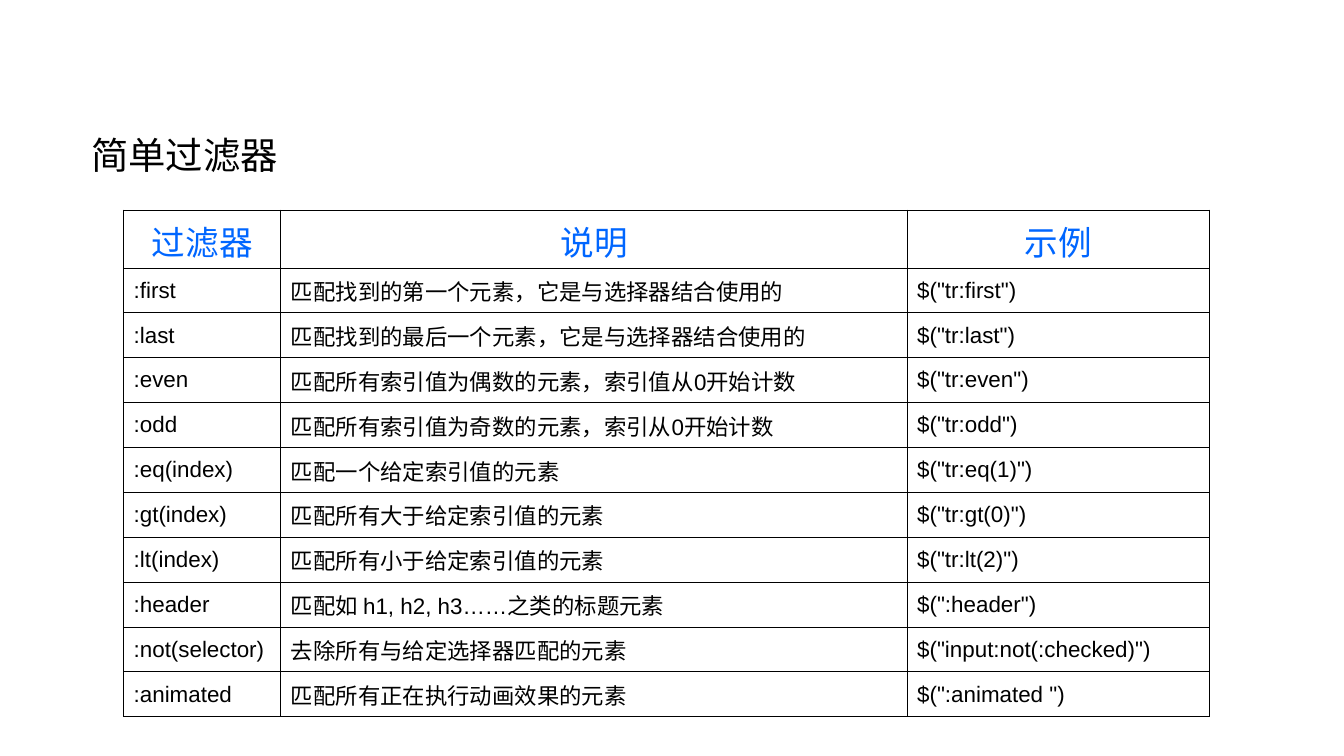
"""Build the slide that lists the simple filters with their meaning and an example."""
from dataclasses import dataclass
from typing import NamedTuple

from lxml.etree import SubElement
from pptx import Presentation
from pptx.dml.color import RGBColor
from pptx.enum.text import MSO_ANCHOR, PP_ALIGN
from pptx.oxml.ns import qn
from pptx.util import Inches, Pt


@dataclass(frozen=True)
class Theme:
    """Colours, fonts, sizes and line widths of the slide."""
    ink: str = "000000"
    accent: str = "0066FF"
    title_font: str = "Times New Roman"
    table_font: str = "Arial"
    title_size: float = 20
    header_size: float = 18
    body_size: float = 12
    outer_line: float = 0.75
    inner_line: float = 0.45


@dataclass(frozen=True)
class Grid:
    """Table place as shares of the slide, with column and row sizes in inches."""
    left: float = 0.092
    top: float = 0.278
    columns: tuple[float, ...] = (1.17, 4.66, 2.25)
    header_row: float = 0.43
    body_row: float = 0.334


class Filter(NamedTuple):
    """One row of the table."""
    name: str
    meaning: str
    example: str


THEME = Theme()
GRID = Grid()
WIDTH = Inches(10)
HEIGHT = WIDTH * 9 // 16
HEADER = Filter("过滤器", "说明", "示例")
FILTERS = [
    Filter(":first", "匹配找到的第一个元素，它是与选择器结合使用的", '$("tr:first")'),
    Filter(":last", "匹配找到的最后一个元素，它是与选择器结合使用的", '$("tr:last")'),
    Filter(":even", "匹配所有索引值为偶数的元素，索引值从0开始计数", '$("tr:even")'),
    Filter(":odd", "匹配所有索引值为奇数的元素，索引从0开始计数", '$("tr:odd")'),
    Filter(":eq(index)", "匹配一个给定索引值的元素", '$("tr:eq(1)")'),
    Filter(":gt(index)", "匹配所有大于给定索引值的元素", '$("tr:gt(0)")'),
    Filter(":lt(index)", "匹配所有小于给定索引值的元素", '$("tr:lt(2)")'),
    Filter(":header", "匹配如 h1, h2, h3……之类的标题元素", '$(":header")'),
    Filter(":not(selector)", "去除所有与给定选择器匹配的元素", '$("input:not(:checked)")'),
    Filter(":animated", "匹配所有正在执行动画效果的元素", '$(":animated ")'),
]


def write(tf, text: str, font: str, size: float, color: str) -> None:
    """Set the text of a frame and format its only run."""
    tf.text = text
    r = tf.paragraphs[0].runs[0]
    r.font.name, r.font.size = font, Pt(size)
    r.font.color.rgb = RGBColor.from_string(color)


def draw_borders(cell, outer: dict[str, bool]) -> None:
    """Give a cell its four lines, wider along the edge of the table."""
    tc_pr = cell._tc.get_or_add_tcPr()
    for i, (side, is_outer) in enumerate(outer.items()):
        width = THEME.outer_line if is_outer else THEME.inner_line
        ln = SubElement(tc_pr, qn(f"a:{side}"), w=str(int(Pt(width))))
        SubElement(SubElement(ln, qn("a:solidFill")), qn("a:srgbClr"), val=THEME.ink)
        tc_pr.insert(i, ln)


def draw_cell(cell, text: str, is_header: bool) -> None:
    """Fill one cell with header or body text."""
    cell.fill.background()
    cell.vertical_anchor = MSO_ANCHOR.MIDDLE
    cell.margin_left = cell.margin_right = Pt(7.2 if is_header else 5.4)
    cell.margin_top = cell.margin_bottom = Inches(0.05)
    size = THEME.header_size if is_header else THEME.body_size
    color = THEME.accent if is_header else THEME.ink
    write(cell.text_frame, text, THEME.table_font, size, color)
    p = cell.text_frame.paragraphs[0]
    p.alignment = PP_ALIGN.CENTER if is_header else PP_ALIGN.JUSTIFY
    if not is_header:
        p.space_after = Pt(1.2)


def draw_table(s, rows: list[Filter]) -> None:
    """Draw the header and all filters as one table."""
    heights = [GRID.header_row] + [GRID.body_row] * (len(rows) - 1)
    table = s.shapes.add_table(
        len(rows), len(GRID.columns), int(WIDTH * GRID.left), int(HEIGHT * GRID.top),
        Inches(sum(GRID.columns)), Inches(sum(heights))).table
    table.first_row = table.horz_banding = False
    for column, width in zip(table.columns, GRID.columns):
        column.width = Inches(width)
    last_row, last_column = len(rows) - 1, len(GRID.columns) - 1
    for i, (row, height) in enumerate(zip(rows, heights)):
        table.rows[i].height = Inches(height)
        for j, text in enumerate(row):
            cell = table.cell(i, j)
            draw_cell(cell, text, i == 0)
            draw_borders(cell, {"lnL": j == 0, "lnR": j == last_column,
                                "lnT": i == 0, "lnB": i == last_row})


def draw_title(s, text: str) -> None:
    """Draw the title above the table."""
    sp = s.shapes.add_textbox(int(WIDTH * 0.058), int(HEIGHT * 0.166),
                              int(WIDTH * 0.367), int(HEIGHT * 0.078))
    tf = sp.text_frame
    tf.word_wrap = True
    write(tf, text, THEME.title_font, THEME.title_size, THEME.ink)


def main() -> None:
    """Build and save the presentation."""
    prs = Presentation()
    prs.slide_width, prs.slide_height = WIDTH, HEIGHT
    s = prs.slides.add_slide(prs.slide_layouts[6])
    draw_title(s, "简单过滤器")
    draw_table(s, [HEADER, *FILTERS])
    prs.save("out.pptx")


if __name__ == "__main__":
    main()
